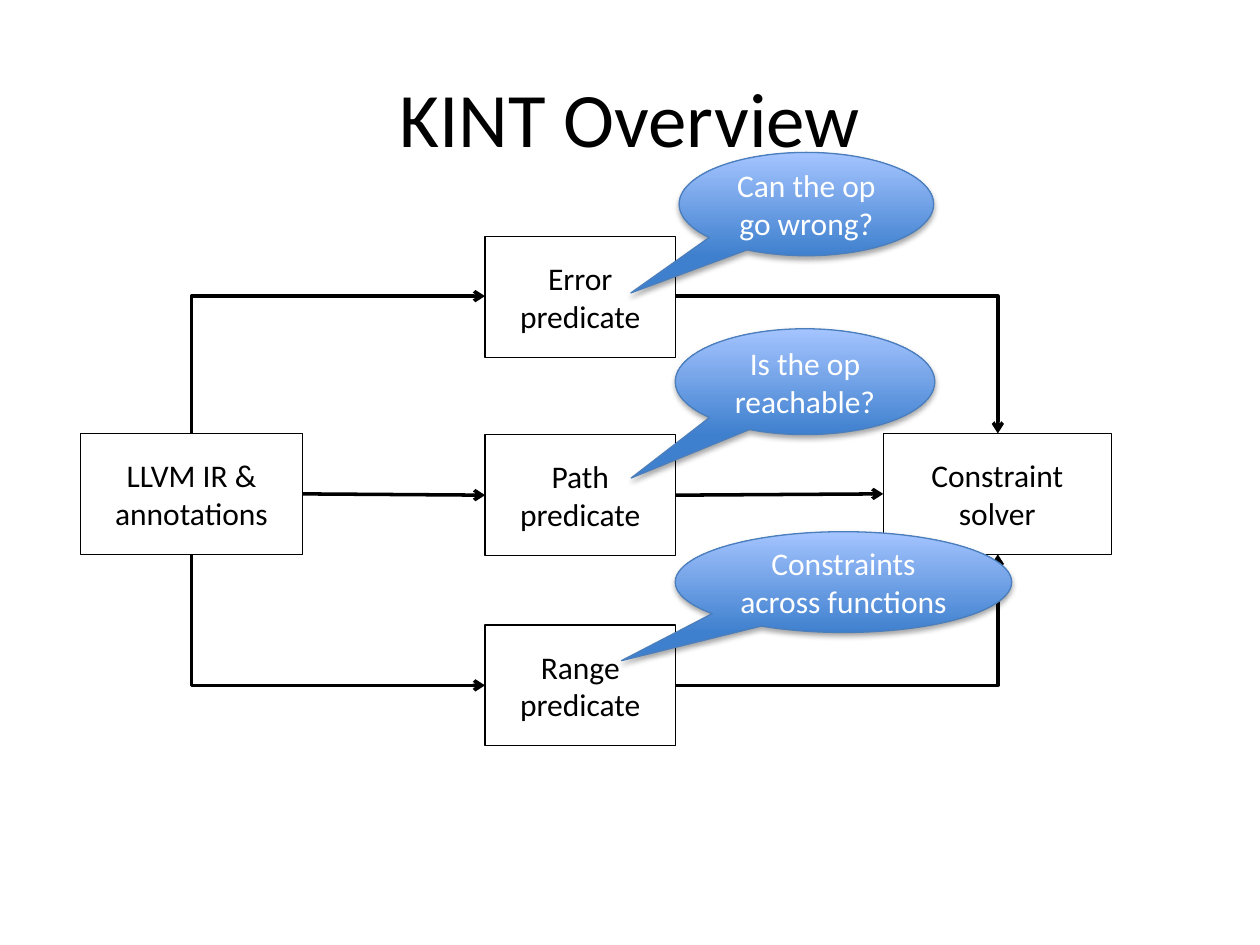
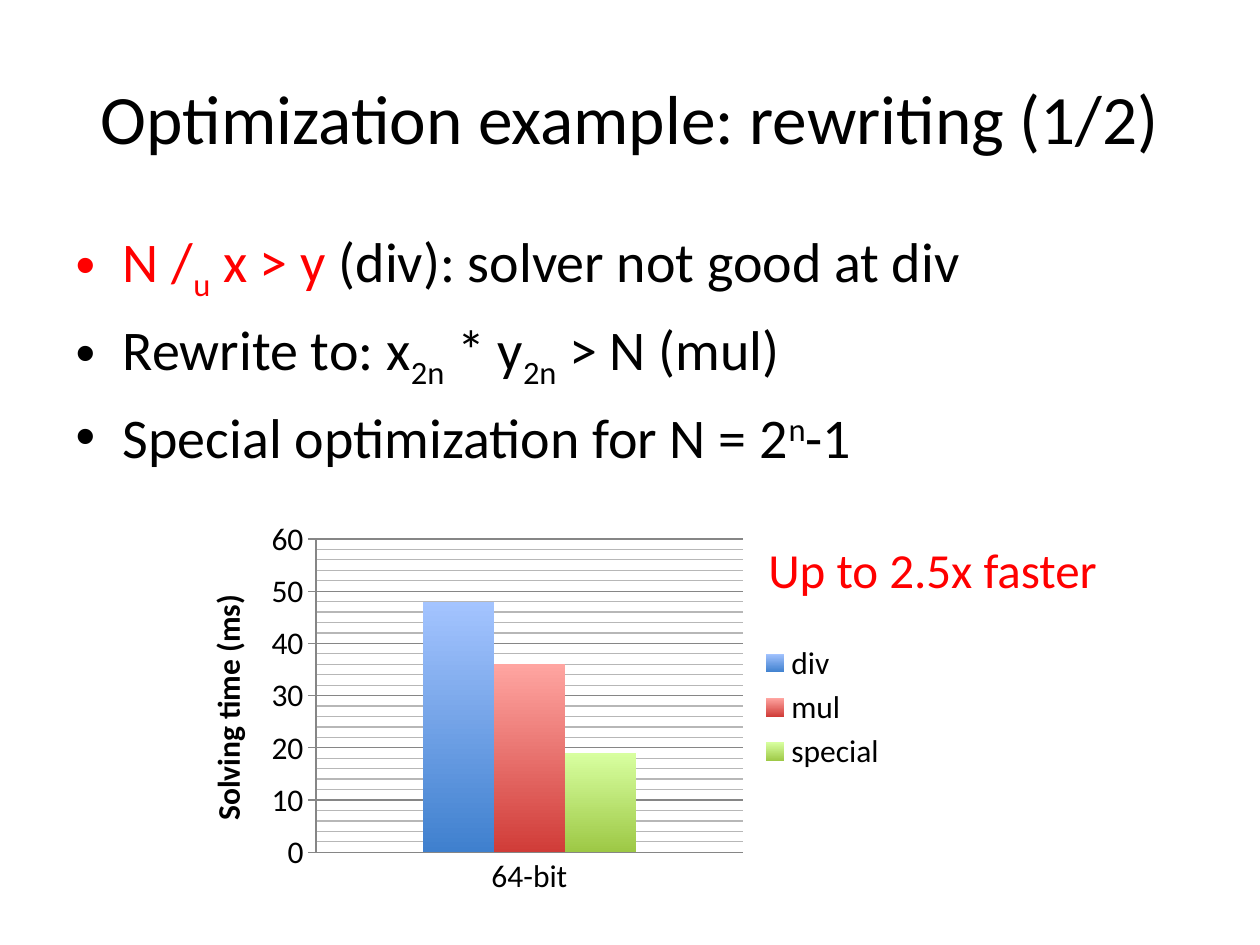
from lxml import etree
from pptx import Presentation
from pptx.chart.data import CategoryChartData
from pptx.dml.color import RGBColor
from pptx.enum.chart import XL_CHART_TYPE, XL_LEGEND_POSITION, XL_TICK_MARK
from pptx.enum.shapes import MSO_CONNECTOR, MSO_SHAPE
from pptx.enum.text import MSO_ANCHOR, MSO_AUTO_SIZE, PP_ALIGN
from pptx.oxml.ns import qn
from pptx.util import Pt

PX = 9144  # 100 px to the inch
FONT = "Calibri"
BLACK, WHITE, RED, GREY = "000000", "FFFFFF", "FF0000", "868686"
BLUE = ("3F80CE", "A4C4FF")
ROSE = ("D03C38", "FFA5A1")
LIME = ("9DC845", "D8FFA0")
RECT, OVAL = MSO_SHAPE.RECTANGLE, MSO_SHAPE.OVAL_CALLOUT
LINE, ELBOW = MSO_CONNECTOR.STRAIGHT, MSO_CONNECTOR.ELBOW
COLUMN, RIGHT = XL_CHART_TYPE.COLUMN_CLUSTERED, XL_LEGEND_POSITION.RIGHT
TICK_OUT, NO_TICK = XL_TICK_MARK.OUTSIDE, XL_TICK_MARK.NONE
MIDDLE, CENTER = MSO_ANCHOR.MIDDLE, PP_ALIGN.CENTER
NO_FIT, GROW = MSO_AUTO_SIZE.NONE, MSO_AUTO_SIZE.SHAPE_TO_FIT_TEXT
rgb = RGBColor.from_string


def dress(font, size, color):
    font.name = FONT
    font.size = Pt(size)
    font.color.rgb = rgb(color)


def shade(fill, tones):
    fill.gradient()
    fill.gradient_angle = 90
    for stop, tone in zip(fill.gradient_stops, tones):
        stop.color.rgb = rgb(tone)


deck = Presentation()
deck.slide_width, deck.slide_height = 1000 * PX, 750 * PX

# Slides and titles
slides = []
for layout, words, size in [(5, "KINT Overview", 44),
                            (1, "Optimization example: rewriting (1/2)", 39.6)]:
    slide = deck.slides.add_slide(deck.slide_layouts[layout])
    title = slide.shapes.title
    title.left, title.top, title.width, title.height = 50 * PX, 30 * PX, 900 * PX, 125 * PX
    frame = title.text_frame
    frame.text = words
    frame.auto_size = NO_FIT
    frame.vertical_anchor = MIDDLE
    frame.paragraphs[0].alignment = CENTER
    dress(frame.paragraphs[0].runs[0].font, size, BLACK)
    slides.append(slide)
flow, tuning = slides

# Arrows: start, end, and the end that bears the head
arrows = [
    (ELBOW, 385, 235, 152, 344, "headEnd"),
    (ELBOW, 385, 544, 152, 440, "headEnd"),
    (LINE, 240, 392, 385, 393, "tailEnd"),
    (LINE, 536, 393, 701, 392, "tailEnd"),
    (ELBOW, 536, 235, 792, 344, "tailEnd"),
    (ELBOW, 536, 544, 792, 440, "tailEnd"),
]
for kind, x1, y1, x2, y2, end in arrows:
    arrow = flow.shapes.add_connector(kind, x1 * PX, y1 * PX, x2 * PX, y2 * PX)
    arrow.line.color.rgb = rgb(BLACK)
    arrow.line.width = Pt(2)
    props = arrow._element.spPr
    if kind == ELBOW:
        props.find(qn("a:prstGeom")).set("prst", "bentConnector2")
    etree.SubElement(props.find(qn("a:ln")), qn("a:" + end), type="arrow")
    etree.SubElement(props, qn("a:effectLst"))

# Flow boxes and callouts; callouts carry the offset of their tip
boxes = [
    ("LLVM IR & annotations", 64, 344, 176, 96),
    ("Error predicate", 385, 188, 151, 96),
    ("Path predicate", 385, 345, 151, 96),
    ("Range predicate", 385, 496, 151, 96),
    ("Constraint solver", 701, 344, 181, 96),
]
callouts = [
    ("Can the op go wrong?", 539, 121, 202, 82, -0.69, 0.86),
    ("Is the op reachable?", 536, 261, 206, 84, -0.67, 0.91),
    ("Constraints across functions", 536, 422, 267, 80, -0.66, 0.78),
]
for words, x, y, w, h, *tip in boxes + callouts:
    shape = flow.shapes.add_shape(OVAL if tip else RECT, x * PX, y * PX, w * PX, h * PX)
    shape.shadow.inherit = False
    shape.line.width = Pt(0.75)
    shape.line.color.rgb = rgb("4B7EBC" if tip else BLACK)
    if tip:
        shape.adjustments[0], shape.adjustments[1] = tip
        shade(shape.fill, BLUE)
        glow = etree.SubElement(shape._element.spPr.find(qn("a:effectLst")), qn("a:outerShdw"),
                                blurRad="40000", dist="23000", dir="5400000", rotWithShape="0")
        tint = etree.SubElement(glow, qn("a:srgbClr"), val=BLACK)
        etree.SubElement(tint, qn("a:alpha"), val="35000")
    else:
        shape.fill.background()
    frame = shape.text_frame
    frame.text = words
    frame.word_wrap = True
    frame.vertical_anchor = MIDDLE
    frame.paragraphs[0].alignment = CENTER
    dress(frame.paragraphs[0].runs[0].font, 18, WHITE if tip else BLACK)

# Bullets: text, colour, baseline shift in percent
points = [
    [("N /", RED, 0), ("u", RED, -25), (" x > y ", RED, 0),
     ("(div): solver not good at div", BLACK, 0)],
    [("Rewrite to: x", BLACK, 0), ("2n", BLACK, -25), (" * y", BLACK, 0),
     ("2n", BLACK, -25), (" > N (mul)", BLACK, 0)],
    [("Special optimization for N = 2", BLACK, 0), ("n", BLACK, 30), ("-1", BLACK, 0)],
]
body = tuning.placeholders[1]
body.left, body.top, body.width, body.height = 50 * PX, 175 * PX, 900 * PX, 495 * PX
frame = body.text_frame
frame.auto_size = NO_FIT
for i, parts in enumerate(points):
    para = frame.add_paragraph() if i else frame.paragraphs[0]
    for words, color, shift in parts:
        run = para.add_run()
        run.text = words
        dress(run.font, 32, color)
        if shift:
            run._r.get_or_add_rPr().set("baseline", str(shift * 1000))

# Chart of solving times
data = CategoryChartData()
data.categories = ["64-bit"]
for name, time in [("div", 48), ("mul", 36), ("special", 19)]:
    data.add_series(name, [time])
chart = tuning.shapes.add_chart(COLUMN, 149 * PX, 406 * PX, 565 * PX, 311 * PX, data).chart
dress(chart.font, 18, BLACK)
chart.has_title = False
chart.has_legend = True
chart.legend.position = RIGHT
chart.legend.include_in_layout = False
dress(chart.legend.font, 18, BLACK)
plot = chart.plots[0]
plot.gap_width, plot.overlap = 300, 0
plot.vary_by_categories = False
for series, tones in zip(plot.series, [BLUE, ROSE, LIME]):
    shade(series.format.fill, tones)

# Axes
times, bits = chart.value_axis, chart.category_axis
times.minimum_scale, times.maximum_scale = 0, 60
times.major_unit, times.minor_unit = 10, 2
times.has_major_gridlines = times.has_minor_gridlines = True
times.major_tick_mark, bits.major_tick_mark = TICK_OUT, NO_TICK
for part in (times, bits, times.major_gridlines):
    part.format.line.color.rgb = rgb(GREY)
    part.format.line.width = Pt(0.75)
label = times.axis_title.text_frame
label.text = "Solving time (ms)"
font = label.paragraphs[0].runs[0].font
dress(font, 18, BLACK)
font.bold = True

# Fixed plot area, as shares of the chart
area = chart._chartSpace.chart.plotArea
for old in area.findall(qn("c:layout")):
    area.remove(old)
place = etree.Element(qn("c:layout"))
area.insert(0, place)
manual = etree.SubElement(place, qn("c:manualLayout"))
for tag, val in [("layoutTarget", "inner"), ("xMode", "edge"), ("yMode", "edge"),
                 ("x", "0.18"), ("y", "0.07"), ("w", "0.6"), ("h", "0.8")]:
    etree.SubElement(manual, qn("c:" + tag), val=val)

# Result note
note = tuning.shapes.add_textbox(600 * PX, 423 * PX, 286 * PX, 57 * PX).text_frame
note.text = "Up to 2.5x faster"
note.word_wrap = False
note.auto_size = GROW
dress(note.paragraphs[0].runs[0].font, 28, RED)

deck.save("out.pptx")
